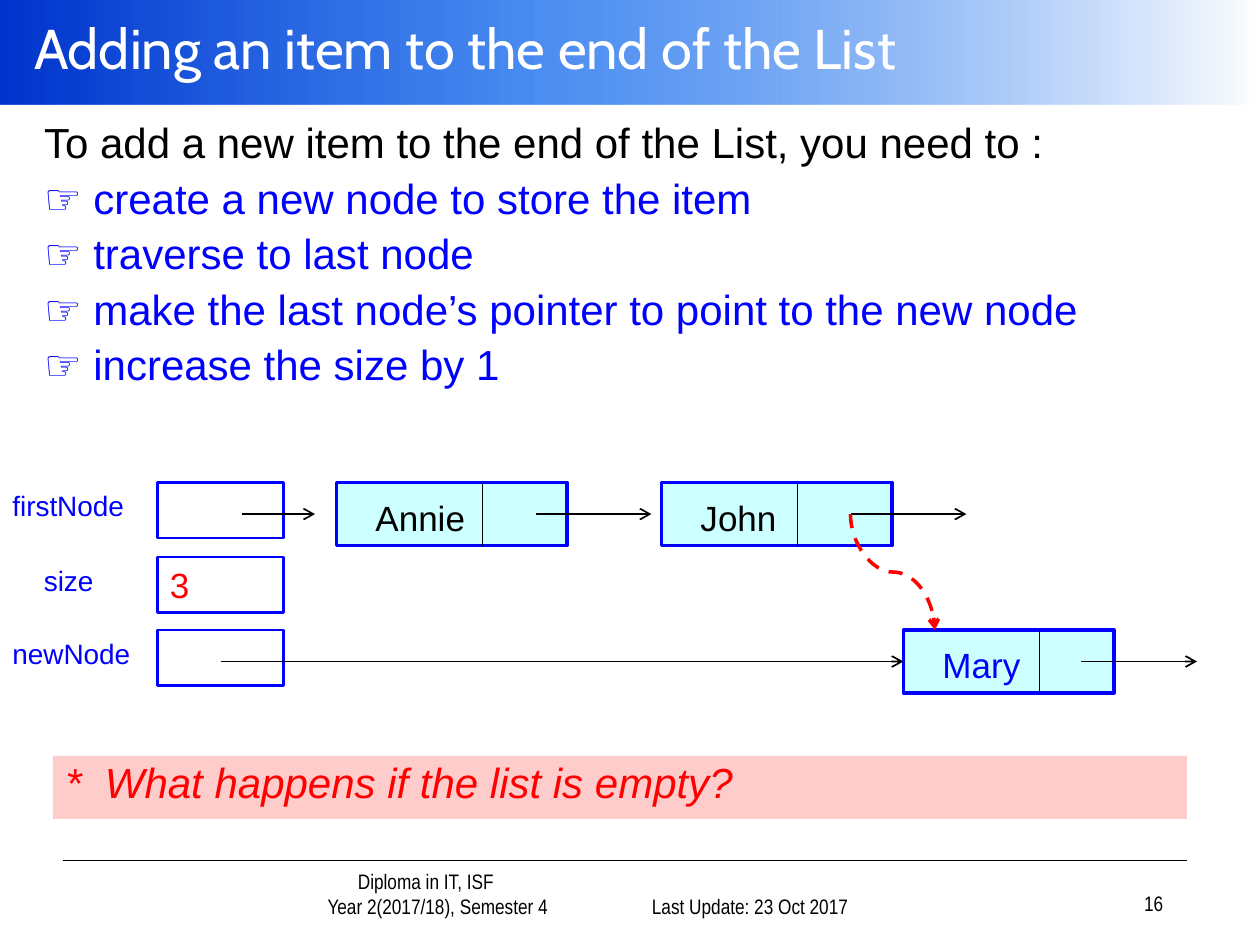
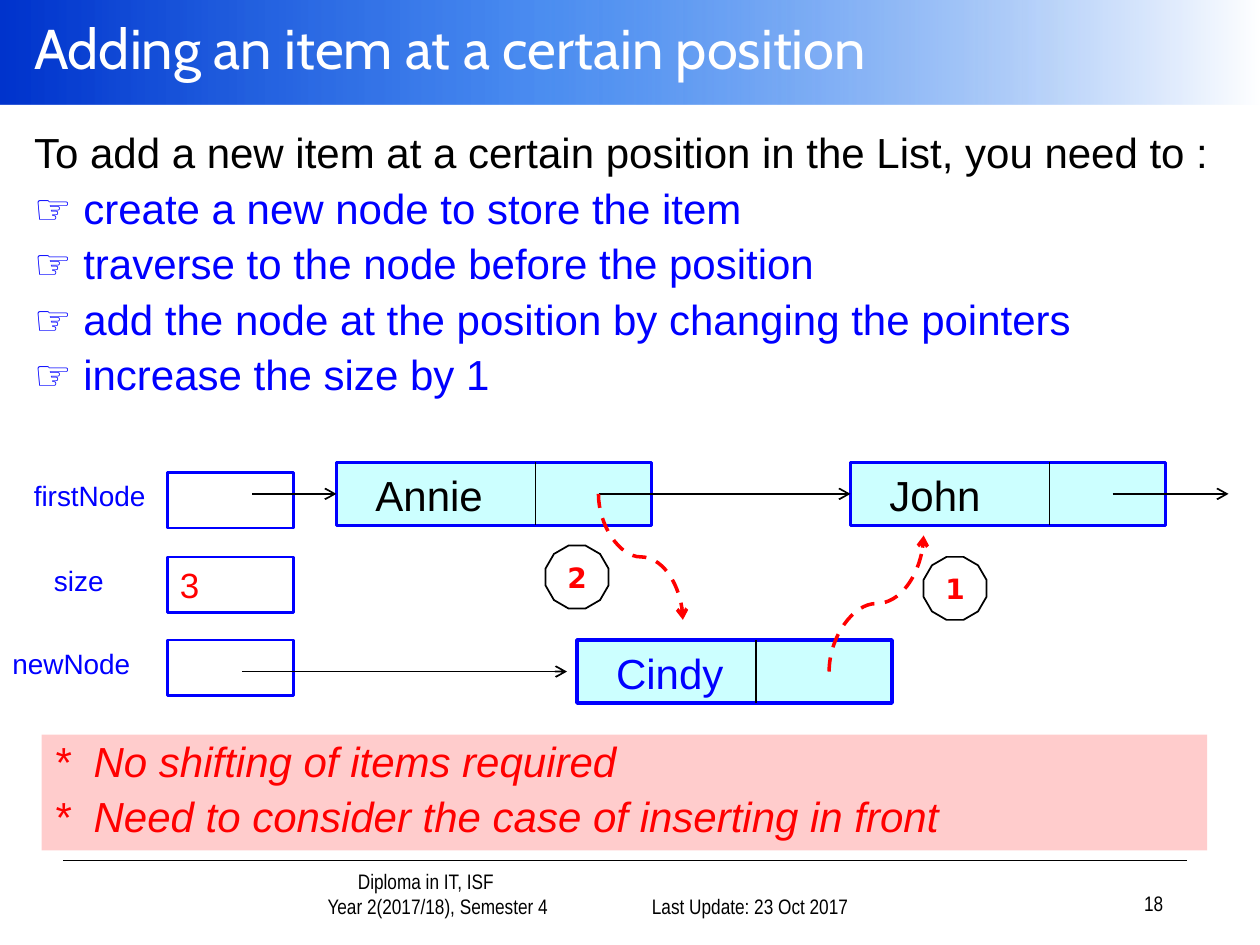
from pptx import Presentation
from pptx.util import Inches, Pt
from pptx.dml.color import RGBColor
from pptx.enum.dml import MSO_LINE
from pptx.enum.shapes import MSO_CONNECTOR, MSO_SHAPE
from pptx.enum.text import MSO_ANCHOR, MSO_AUTO_SIZE, PP_ALIGN
from pptx.oxml import parse_xml
from pptx.oxml.ns import nsdecls
from lxml.etree import SubElement

BLACK = RGBColor(0, 0, 0)
WHITE = RGBColor(255, 255, 255)
BLUE = RGBColor(0, 0, 255)
RED = RGBColor(255, 0, 0)
AQUA = RGBColor(0xCC, 255, 255)
PINK = RGBColor(255, 0xCC, 0xCC)
NODE_H, CELL_W, CELL_H = 0.5, 1, 0.44
GRAD = f"""<a:gradFill {nsdecls('a')} rotWithShape="1"><a:gsLst>
<a:gs pos="0"><a:srgbClr val="0033CC"/></a:gs>
<a:gs pos="43000"><a:srgbClr val="005EEB"><a:alpha val="70000"/></a:srgbClr></a:gs>
<a:gs pos="100000"><a:srgbClr val="FFFFFF"/></a:gs>
</a:gsLst><a:lin ang="0" scaled="1"/></a:gradFill>"""


def put(par, text, size, color, font="Arial", bold=False, slant=False):
    """Add one formatted run to a paragraph."""
    run = par.add_run()
    run.text = text
    face = run.font
    face.name, face.size, face.bold, face.italic = font, Pt(size), bold, slant
    face.color.rgb = color


def indent(par, left, first=0):
    """Set the left margin and first-line indent, without a bullet."""
    props = par._p.get_or_add_pPr()
    props.set("marL", str(Inches(left)))
    props.set("indent", str(Inches(first)))
    SubElement(props, "{http://schemas.openxmlformats.org/drawingml/2006/main}buNone")


def space(par):
    """Give a 24 point list line its spacing."""
    par.line_spacing = 0.9
    par.space_before = Pt(5.8)


def rect(slide, box, fill=None, line=None, width=1, kind=MSO_SHAPE.RECTANGLE):
    """Draw a flat preset shape with left-aligned text from the top."""
    shape = slide.shapes.add_shape(kind, *map(Inches, box))
    shape.shadow.inherit = False
    if fill is None:
        shape.fill.background()
    else:
        shape.fill.solid()
        shape.fill.fore_color.rgb = fill
    if line is None:
        shape.line.fill.background()
    else:
        shape.line.color.rgb = line
        shape.line.width = Pt(width)
    shape.text_frame.vertical_anchor = MSO_ANCHOR.TOP
    shape.text_frame.paragraphs[0].alignment = PP_ALIGN.LEFT
    return shape


def note(slide, box):
    """Add an empty wrapping text box and return its frame."""
    frame = slide.shapes.add_textbox(*map(Inches, box)).text_frame
    frame.word_wrap = True
    return frame


def link(slide, start, end, color=BLACK, width=1, head=True, kind=MSO_CONNECTOR.STRAIGHT):
    """Draw a connector, with an open arrowhead at its end if asked."""
    line = slide.shapes.add_connector(kind, *map(Inches, (*start, *end)))
    line.line.color.rgb = color
    line.line.width = Pt(width)
    if head:
        stroke = line.line._get_or_add_ln()
        stroke.append(parse_xml(f'<a:tailEnd {nsdecls("a")} type="arrow"/>'))
    line._element.spPr.append(parse_xml(f'<a:effectLst {nsdecls("a")}/>'))
    return line


def swerve(slide, start, end):
    """Draw a dashed red S-curve that leaves and arrives vertically."""
    (x1, y1), (x2, y2) = start, end
    midx, midy = (x1 + x2) / 2, (y1 + y2) / 2
    half, rise = abs(y2 - y1) / 2, (x2 - x1) / 2
    down = y2 > y1
    tilt = -rise if down else rise
    line = link(slide, (midx + half, midy + tilt), (midx - half, midy - tilt),
                RED, 2, kind=MSO_CONNECTOR.CURVE)
    line.line.dash_style = MSO_LINE.DASH
    line._element.spPr.xfrm.set("rot", str((270 if down else 90) * 60000))


def footer(slide, box, rows, align):
    """Write small footer lines, each with its own left margin."""
    frame = note(slide, box)
    frame.vertical_anchor = MSO_ANCHOR.BOTTOM
    for i, (text, left) in enumerate(rows):
        par = frame.add_paragraph() if i else frame.paragraphs[0]
        par.alignment = align
        indent(par, left)
        put(par, text, 12, BLACK, "Arial Narrow")


def frame_layout(slide):
    """Build the shared band, rule and footers and move them to the layout."""
    start = len(slide.shapes)
    band = rect(slide, (0, 0, 10, 0.83))
    props = band._element.spPr
    props.replace(props.find("{*}noFill"), parse_xml(GRAD))
    link(slide, (0.5, 6.83), (9.42, 6.83), head=False)
    footer(slide, (1.68, 6.92, 2.9, 0.42),
           [("Diploma in IT, ISF", 0.5), ("Year 2(2017/18), Semester 4", 0.69)],
           PP_ALIGN.CENTER)
    footer(slide, (4.75, 6.92, 2.08, 0.42),
           [("Last Update: 23 Oct 2017", 0)], PP_ALIGN.RIGHT)
    tree = slide.slide_layout.shapes._spTree
    for shape in list(slide.shapes)[start:]:
        tree.append(shape._element)


def place(shape, box):
    """Move a placeholder to a box and return its emptied frame."""
    shape.left, shape.top, shape.width, shape.height = map(Inches, box)
    frame = shape.text_frame
    frame.auto_size = MSO_AUTO_SIZE.NONE
    return frame


def text(slide, title, box, lead, steps, page):
    """Fill the title, the list of steps and the page number."""
    head = place(slide.shapes.title, (0.17, 0, 9.83, 0.75))
    head.vertical_anchor = MSO_ANCHOR.MIDDLE
    head.paragraphs[0].alignment = PP_ALIGN.LEFT
    put(head.paragraphs[0], title, 32, WHITE, "Cabin")
    body = place(slide.placeholders[1], box)
    for i, step in enumerate([lead] + steps):
        par = body.add_paragraph() if i else body.paragraphs[0]
        space(par)
        indent(par, 0)
        if i:
            put(par, "\u261e ", 24, BLUE, bold=True)
        put(par, step, 24, BLUE if i else BLACK)
    footer(slide, (7.25, 6.9, 2.08, 0.42), [(page, 0)], PP_ALIGN.RIGHT)


def node(slide, box, name, split, size, color=BLACK):
    """Draw a list node: a name field and a pointer field."""
    left, top, width = box
    shape = rect(slide, (left, top, width, NODE_H), AQUA, BLUE, 2)
    frame = shape.text_frame
    frame.margin_left = Inches(0.31)
    frame.margin_top = Inches(0.11 if size == 20 else 0.06)
    put(frame.paragraphs[0], name, size, color)
    link(slide, (left + split, top), (left + split, top + NODE_H), head=False)


def cell(slide, left, top, name, label, value=""):
    """Draw a variable box with its label box (left, width) beside it."""
    shape = rect(slide, (left, top, CELL_W, CELL_H), None, BLUE, 1.5)
    if value:
        put(shape.text_frame.paragraphs[0], value, 20, RED)
    frame = note(slide, (label[0], top, label[1], 0.37))
    put(frame.paragraphs[0], name, 16, BLUE)


def arrow(slide, left, right, top):
    """Draw a level pointer arrow."""
    link(slide, (left, top), (right, top))


def badge(slide, left, top, digit):
    """Draw a numbered dodecagon."""
    shape = rect(slide, (left, top, 0.5, 0.5), None, BLACK, 1, MSO_SHAPE.DODECAGON)
    shape.text_frame.vertical_anchor = MSO_ANCHOR.MIDDLE
    par = shape.text_frame.paragraphs[0]
    par.alignment = PP_ALIGN.CENTER
    put(par, digit, 16, RED, "DejaVu Sans", True)


def hint(slide, box, rows):
    """Draw the pink box of remarks."""
    frame = rect(slide, box, PINK).text_frame
    for i, row in enumerate(rows):
        par = frame.add_paragraph() if i else frame.paragraphs[0]
        par.alignment = PP_ALIGN.LEFT
        space(par)
        indent(par, 0.38, -0.38)
        put(par, "*  " + row, 24, RED, slant=True)


def end_slide(slide):
    """Show how a node joins the end of the list."""
    text(slide, "Adding an item to the end of the List", (0.25, 0.92, 9.5, 2.42),
         "To add a new item to the end of the List, you need to :",
         ["create a new node to store the item", "traverse to last node",
          "make the last node\u2019s pointer to point to the new node",
          "increase the size by 1"], "16")
    top, low = 3.83, 5
    node(slide, (2.67, top, 1.83), "Annie", 1.16, 20)
    node(slide, (5.25, top, 1.83), "John", 1.08, 20)
    node(slide, (7.17, low, 1.67), "Mary", 1.08, 20, BLUE)
    cell(slide, 1.25, top, "firstNode", (0, 1.33))
    cell(slide, 1.25, 4.42, "size", (0.25, 0.83), "3")
    cell(slide, 1.25, low, "newNode", (0, 1.33))
    for left, right in ((1.92, 2.5), (4.25, 5.17), (6.75, 7.67)):
        arrow(slide, left, right, top + 0.25)
    for left, right in ((1.75, 7.17), (8.58, 9.5)):
        arrow(slide, left, right, low + 0.25)
    swerve(slide, (6.75, top + 0.25), (7.42, low))
    hint(slide, (0.42, 6, 9, 0.5), ["What happens if the list is empty?"])


def mid_slide(slide):
    """Show how a node joins the list at a position."""
    text(slide, "Adding an item at a certain position", (0.17, 1, 9.67, 2.33),
         "To add a new item at a certain position in the List, you need to :",
         ["create a new node to store the item",
          "traverse to the node before the position",
          "add the node at the position by changing the pointers",
          "increase the size by 1"], "18")
    top, low = 3.67, 5.08
    node(slide, (2.67, top, 2.5), "Annie", 1.58, 24)
    node(slide, (6.75, top, 2.5), "John", 1.58, 24)
    node(slide, (4.58, low, 2.5), "Cindy", 1.42, 24, BLUE)
    cell(slide, 1.33, 3.75, "firstNode", (0.17, 1.17))
    cell(slide, 1.33, 4.42, "size", (0.33, 0.83), "3")
    cell(slide, 1.33, low, "newNode", (0, 1.33))
    for left, right in ((2, 2.67), (4.75, 6.75), (8.83, 9.75)):
        arrow(slide, left, right, top + 0.25)
    arrow(slide, 1.92, 4.5, low + 0.25)
    swerve(slide, (6.58, low + 0.25), (7.33, 4.25))
    swerve(slide, (4.75, top + 0.25), (5.42, 4.92))
    badge(slide, 7.33, 4.42, "1")
    badge(slide, 4.33, 4.33, "2")
    hint(slide, (0.33, 5.83, 9.25, 0.92),
         ["No shifting of items required",
          "Need to consider the case of inserting in front"])


def main():
    """Build and save the deck."""
    deck = Presentation()
    deck.slide_width, deck.slide_height = Inches(10), Inches(7.5)
    layout = deck.slide_layouts[1]
    first, second = (deck.slides.add_slide(layout) for _ in range(2))
    frame_layout(first)
    end_slide(first)
    mid_slide(second)
    deck.save("out.pptx")


main()
